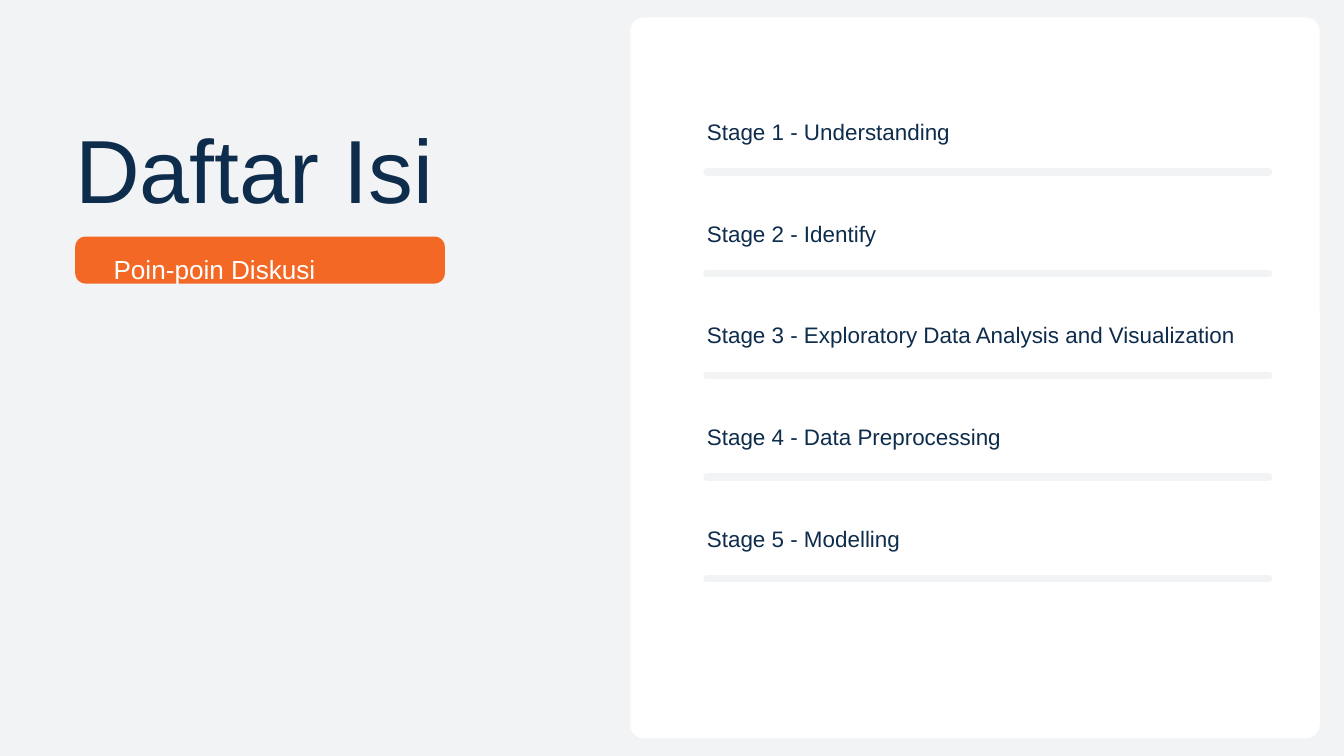
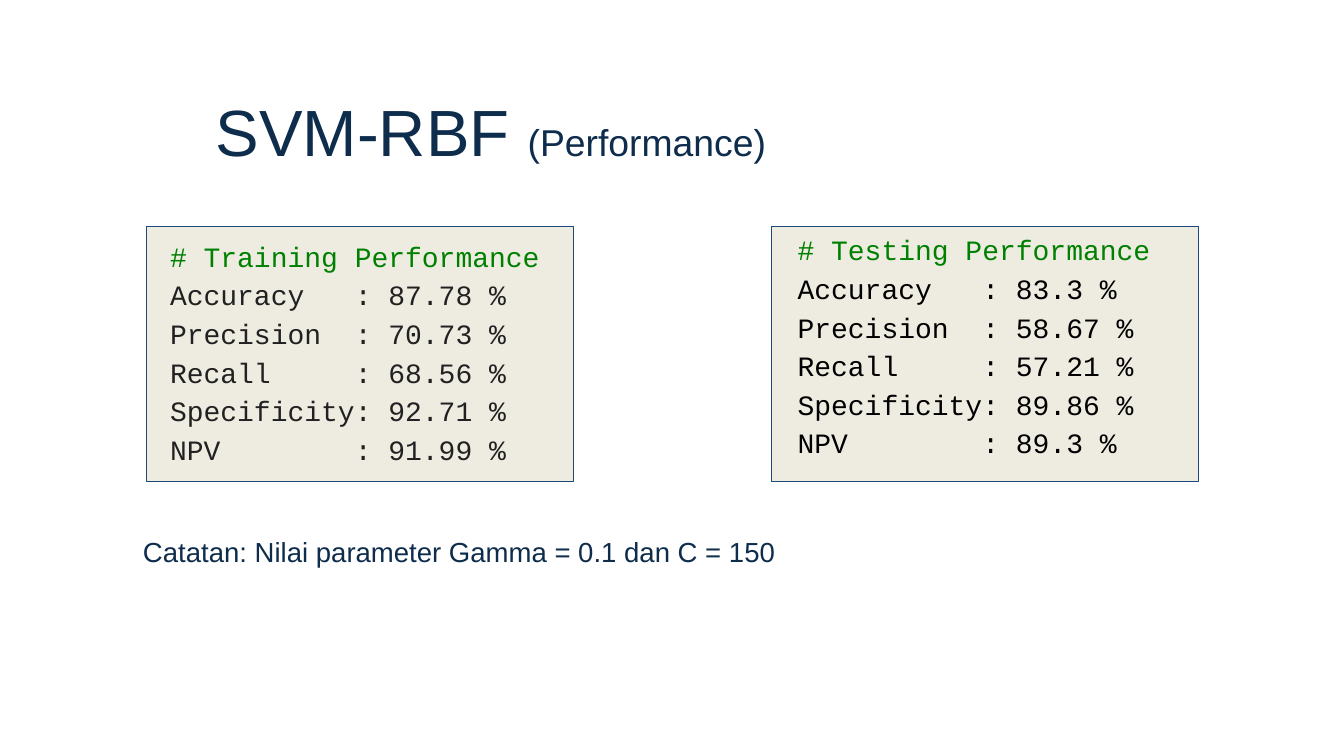
from lxml import etree
from pptx import Presentation
from pptx.dml.color import RGBColor
from pptx.enum.shapes import MSO_CONNECTOR, MSO_SHAPE
from pptx.enum.text import MSO_ANCHOR, MSO_AUTO_SIZE
from pptx.oxml.ns import qn
from pptx.util import Inches, Pt

RECT, ROUND = MSO_SHAPE.RECTANGLE, MSO_SHAPE.ROUNDED_RECTANGLE
STRAIGHT = MSO_CONNECTOR.STRAIGHT
TOP, GROW = MSO_ANCHOR.TOP, MSO_AUTO_SIZE.SHAPE_TO_FIT_TEXT

NAVY = RGBColor(0x0E, 0x2C, 0x4B)
GREY = RGBColor(0xF2, 0xF3, 0xF4)
WHITE = RGBColor(0xFF, 0xFF, 0xFF)
ORANGE = RGBColor(0xF3, 0x68, 0x25)
SAND = RGBColor(0xEE, 0xEC, 0xE1)
BLUE = RGBColor(0x1F, 0x49, 0x7D)
GREEN = RGBColor(0x00, 0x80, 0x00)
COAL = RGBColor(0x21, 0x21, 0x21)
BLACK = RGBColor(0x00, 0x00, 0x00)
SANS, MONO = "Arial", "Courier New"

# The slide is a grid of 80 columns by 45 rows of square cells
COLS, ROWS = 80, 45
CELL = 0.25

STAGES = [
    "Understanding",
    "Identify",
    "Exploratory Data Analysis and Visualization",
    "Data Preprocessing",
    "Modelling",
]
METRICS = ["Accuracy", "Precision", "Recall", "Specificity", "NPV"]
TRAIN = ["87.78", "70.73", "68.56", "92.71", "91.99"]
TEST = ["83.3", "58.67", "57.21", "89.86", "89.3"]


def grid(*cells):
    return [Inches(n * CELL) for n in cells]


def new_slide(deck, color):
    slide = deck.slides.add_slide(deck.slide_layouts[6])
    fill = slide.background.fill
    fill.solid()
    fill.fore_color.rgb = color
    return slide


def add_block(slide, place, color, kind=RECT, edge=None, curve=None):
    block = slide.shapes.add_shape(kind, *grid(*place))
    block.shadow.inherit = False
    block.fill.solid()
    block.fill.fore_color.rgb = color
    if edge is None:
        block.line.fill.background()
    else:
        block.line.color.rgb = edge
        block.line.width = Pt(0.75)
    if curve is not None:
        block.adjustments[0] = curve


def add_rule(slide, left, right, row):
    rule = slide.shapes.add_connector(STRAIGHT, *grid(left, row, right, row))
    rule.line.color.rgb = GREY
    rule.line.width = Pt(8)
    rule.line._get_or_add_ln().set("cap", "rnd")
    etree.SubElement(rule._element.spPr, qn("a:effectLst"))


def add_box(slide, place, inset=0, left=None):
    """Add an empty text frame; insets are in cells."""
    frame = slide.shapes.add_textbox(*grid(*place)).text_frame
    frame.word_wrap = True
    frame.auto_size = GROW
    frame.vertical_anchor = TOP
    frame.margin_top = frame.margin_right = frame.margin_bottom = Inches(inset * CELL)
    frame.margin_left = Inches((inset if left is None else left) * CELL)
    return frame


def style(para, size, color, space, font=SANS):
    para.line_spacing = space
    para.font.name = font
    para.font.color.rgb = color
    if size:
        para.font.size = Pt(size)


def add_text(slide, place, text, size, color=NAVY, space=1.2, inset=0):
    para = add_box(slide, place, inset).paragraphs[0]
    para.text = text
    style(para, size, color, space)


def add_title(slide, place, parts):
    """Add a heading whose parts differ in size."""
    para = add_box(slide, place).paragraphs[0]
    for text, size in parts:
        run = para.add_run()
        run.text = text
        run.font.size = Pt(size)
    style(para, None, NAVY, 1.2)


def add_scores(slide, place, name, scores, color, inset, left, lead):
    frame = add_box(slide, place, inset, left)
    head = frame.paragraphs[0]
    head.text = f"# {name} Performance"
    style(head, 30, GREEN, lead, MONO)
    for metric, score in zip(METRICS, scores):
        para = frame.add_paragraph()
        para.text = f"{metric:<11}: {score} %"
        style(para, 30, color, 1.15, MONO)


def build_agenda(deck):
    slide = new_slide(deck, GREY)
    left, right, pitch = 42.08, 75.52, 6.05

    # Card with the list of stages
    add_block(slide, (37.52, 1.04, 41.04, 42.92), WHITE, ROUND, curve=0.02)
    for i, stage in enumerate(STAGES):
        add_rule(slide, left, right, 10.24 + i * pitch)
        add_text(slide, (left, 6.4 + i * pitch, right - left, 1.6),
                 f"Stage {i + 1} - {stage}", 24, space=1.4)

    # Heading and its label
    add_block(slide, (4.48, 14.08, 22, 2.8), ORANGE, ROUND, curve=0.22)
    add_text(slide, (4.48, 5.48, 27, 6.48), "Daftar Isi", 96)
    add_text(slide, (6.76, 14.68, 18.32, 1.88), "Poin-poin Diskusi", 28, WHITE)


def build_scores(deck):
    slide = new_slide(deck, WHITE)
    for left in (45.92, 8.72):
        add_block(slide, (left, 13.48, 25.4, 15.2), SAND, edge=BLUE)
    add_title(slide, (12.84, 4.48, 61.64, 4.72),
              [("SVM-RBF ", 70), ("(Performance)", 40)])

    # Scores and the note below them
    add_scores(slide, (8.12, 13.52, 24.36, 18.8), "Training", TRAIN, COAL, 0, 2, 1.36)
    add_scores(slide, (47.08, 13.16, 30.4, 14.44), "Testing", TEST, BLACK, 0.4, 0.4, 1.15)
    add_text(slide, (8.12, 31.16, 56.52, 2.8),
             "Catatan: Nilai parameter Gamma = 0.1 dan C = 150", 29.5,
             space=1.15, inset=0.4)


def main():
    deck = Presentation()
    deck.slide_width, deck.slide_height = grid(COLS, ROWS)
    build_agenda(deck)
    build_scores(deck)
    deck.save("out.pptx")


if __name__ == "__main__":
    main()
